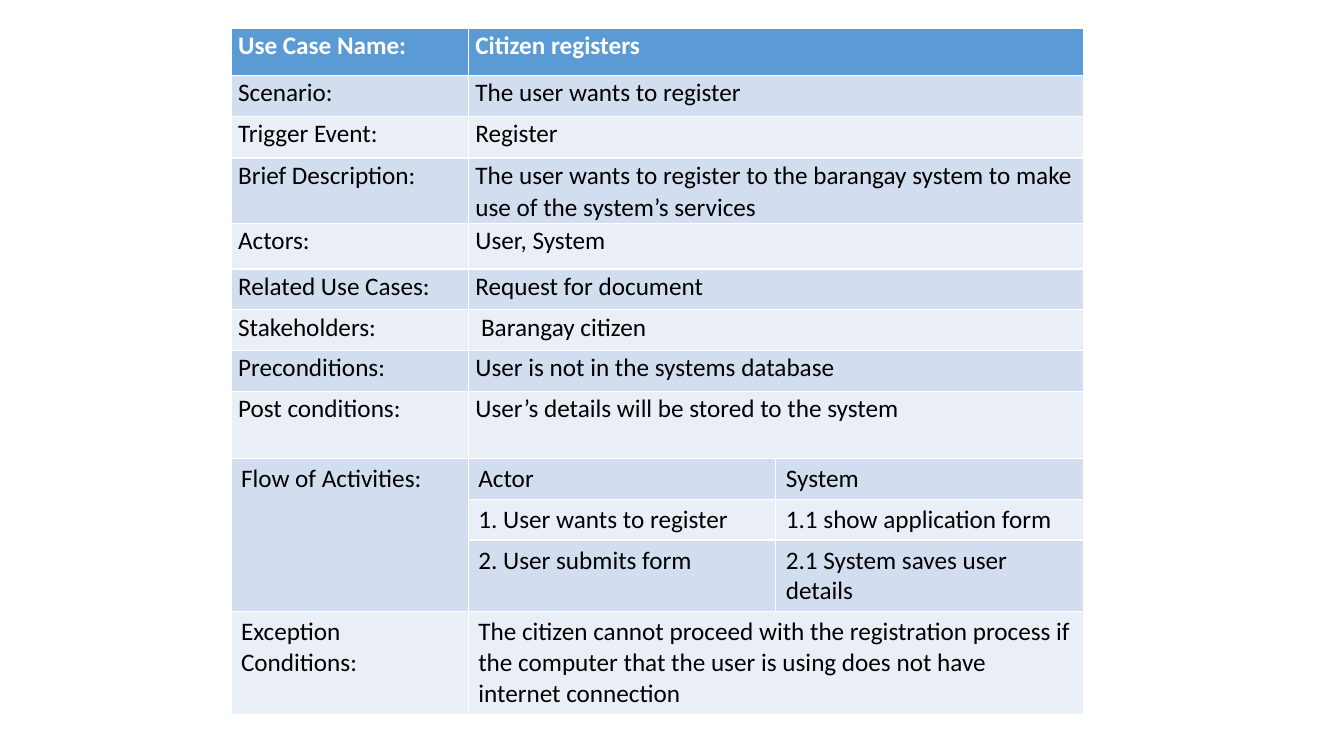
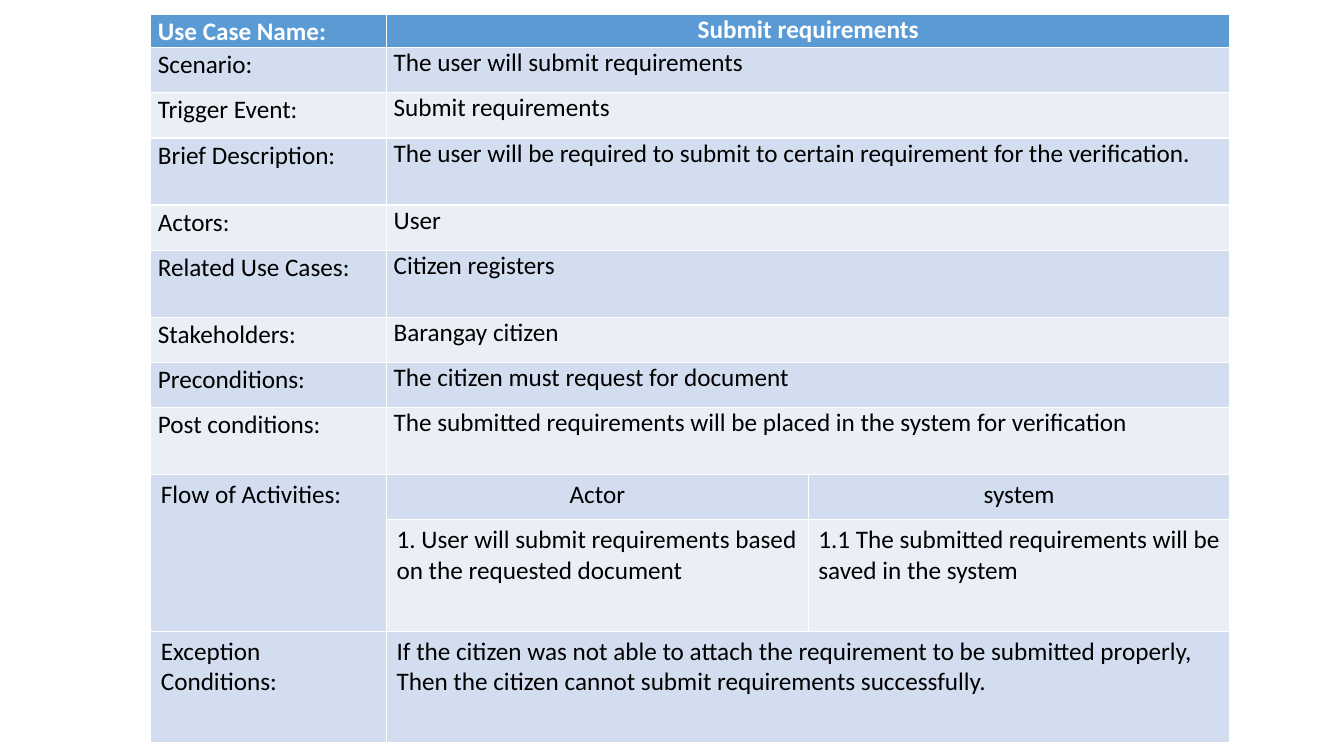
import pptx
import pptx.dml.color
import pptx.enum.text
import pptx.util

Cm = pptx.util.Cm
ALIGN = pptx.enum.text.PP_ALIGN

COLOURS = {
    "header": "5B9BD5",
    "band_dark": "D2DEEF",
    "band_light": "EAEFF7",
    "header_text": "FFFFFF",
    "body_text": "000000",
}
FONT = {"name": "Calibri", "size": pptx.util.Pt(18)}
COMPACT_MARGINS = {
    "margin_left": Cm(0.18),
    "margin_right": Cm(0.18),
    "margin_top": Cm(0),
    "margin_bottom": Cm(0),
}
FACT_LABELS = [
    "Use Case Name:", "Scenario:", "Trigger Event:", "Brief Description:",
    "Actors:", "Related Use Cases:", "Stakeholders:", "Preconditions:",
    "Post conditions:",
]
FACT_SPACING = 1.07

USE_CASES = [
    {
        "box": (5.82, 0.71, 21.48),
        "label_width": 5.98,
        "row_heights": [1.19, 1.04, 1.04, 1.66, 1.14, 1.03, 1.03, 1.03, 1.68,
                        1.03, 1.03, 1.79, 2.6],
        "facts": [
            "Citizen registers",
            "The user wants to register",
            "Register",
            "The user wants to register to the barangay system to make use of "
            "the system’s services",
            "User, System",
            "Request for document",
            " Barangay citizen",
            "User is not in the systems database",
            "User’s details will be stored to the system",
        ],
        "fact_spacing": FACT_SPACING,
        "heading_align": ALIGN.LEFT,
        "flow": [
            ("Actor", "System"),
            ("1. User wants to register", "1.1 show application form"),
            ("2. User submits form", "2.1 System saves user details"),
        ],
        "exception": "The citizen cannot proceed with the registration process "
                     "if the computer that the user is using does not have "
                     "internet connection",
    },
    {
        "box": (3.8, 0.36, 27.2),
        "label_width": 5.94,
        "row_heights": [0.84, 1.14, 1.14, 1.69, 1.14, 1.69, 1.14, 1.14, 1.69,
                        1.13, 2.81, 2.81],
        "facts": [
            "Submit requirements",
            "The user will submit requirements",
            "Submit requirements",
            "The user will be required to submit to certain requirement for "
            "the verification.",
            "User",
            "Citizen registers",
            "Barangay citizen",
            "The citizen must request for document",
            "The submitted requirements will be placed in the system for "
            "verification",
        ],
        "fact_spacing": 1.0,
        "heading_align": ALIGN.CENTER,
        "flow": [
            ("Actor", "system"),
            ("1. User will submit requirements based on the requested document",
             "1.1 The submitted requirements will be saved in the system"),
        ],
        "exception": "If the citizen was not able to attach the requirement to "
                     "be submitted properly,\n"
                     "Then the citizen cannot submit requirements successfully.",
    },
]


def apply_format(target, values):
    """Set every attribute named in a dict of format values."""
    for attribute, value in values.items():
        setattr(target, attribute, value)


def rgb(role):
    """Return the colour that belongs to a role."""
    return pptx.dml.color.RGBColor.from_string(COLOURS[role])


def write_cell(grid, row, column, text, align=ALIGN.LEFT, spacing=1.0):
    """Write and format one cell according to its row."""
    is_header = row == 0
    band = "header" if is_header else "band_dark" if row % 2 else "band_light"
    cell = grid.cell(row, column)
    cell.fill.solid()
    cell.fill.fore_color.rgb = rgb(band)
    cell.text_frame.text = text
    for paragraph in cell.text_frame.paragraphs:
        apply_format(paragraph, {"alignment": align, "line_spacing": spacing})
        for run in paragraph.runs:
            apply_format(run.font, {**FONT, "bold": is_header})
            run.font.color.rgb = rgb("header_text" if is_header else "body_text")
    return cell


def span_values(grid, row):
    """Join the two value columns of a row."""
    grid.cell(row, 1).merge(grid.cell(row, 2))


def fill_facts(grid, use_case):
    """Fill the labelled rows above the flow of activities."""
    for row, (label, fact) in enumerate(zip(FACT_LABELS, use_case["facts"])):
        span_values(grid, row)
        align = use_case["heading_align"] if row == 0 else ALIGN.LEFT
        cells = [
            write_cell(grid, row, 0, label, spacing=FACT_SPACING),
            write_cell(grid, row, 1, fact, align, use_case["fact_spacing"]),
        ]
        for cell in cells:
            apply_format(cell, COMPACT_MARGINS)


def fill_flow(grid, use_case, first_row):
    """Fill the actor and system steps beside their shared label."""
    last_row = first_row + len(use_case["flow"]) - 1
    grid.cell(first_row, 0).merge(grid.cell(last_row, 0))
    write_cell(grid, first_row, 0, "Flow of Activities:")
    for row, steps in enumerate(use_case["flow"], first_row):
        align = use_case["heading_align"] if row == first_row else ALIGN.LEFT
        for column, step in enumerate(steps, 1):
            write_cell(grid, row, column, step, align)


def fill_exception(grid, use_case, row):
    """Fill the closing row with the exception conditions."""
    span_values(grid, row)
    write_cell(grid, row, 0, "Exception Conditions:")
    write_cell(grid, row, 1, use_case["exception"])


def add_use_case_slide(deck, use_case):
    """Add a slide that describes one use case in a table."""
    slide = deck.slides.add_slide(deck.slide_layouts[6])
    left, top, width = use_case["box"]
    heights = use_case["row_heights"]
    grid = slide.shapes.add_table(
        len(heights), 3, Cm(left), Cm(top), Cm(width), Cm(sum(heights))
    ).table
    grid.horz_banding = False
    label_width = use_case["label_width"]
    value_width = (width - label_width) / 2
    for column, column_width in zip(
            grid.columns, (label_width, value_width, value_width)):
        column.width = Cm(column_width)
    for row, height in zip(grid.rows, heights):
        row.height = Cm(height)
    fill_facts(grid, use_case)
    fill_flow(grid, use_case, len(FACT_LABELS))
    fill_exception(grid, use_case, len(heights) - 1)


def main():
    """Build the deck and save it."""
    deck = pptx.Presentation()
    apply_format(deck, {"slide_width": Cm(33.87), "slide_height": Cm(19.05)})
    for use_case in USE_CASES:
        add_use_case_slide(deck, use_case)
    deck.save("out.pptx")


if __name__ == "__main__":
    main()
